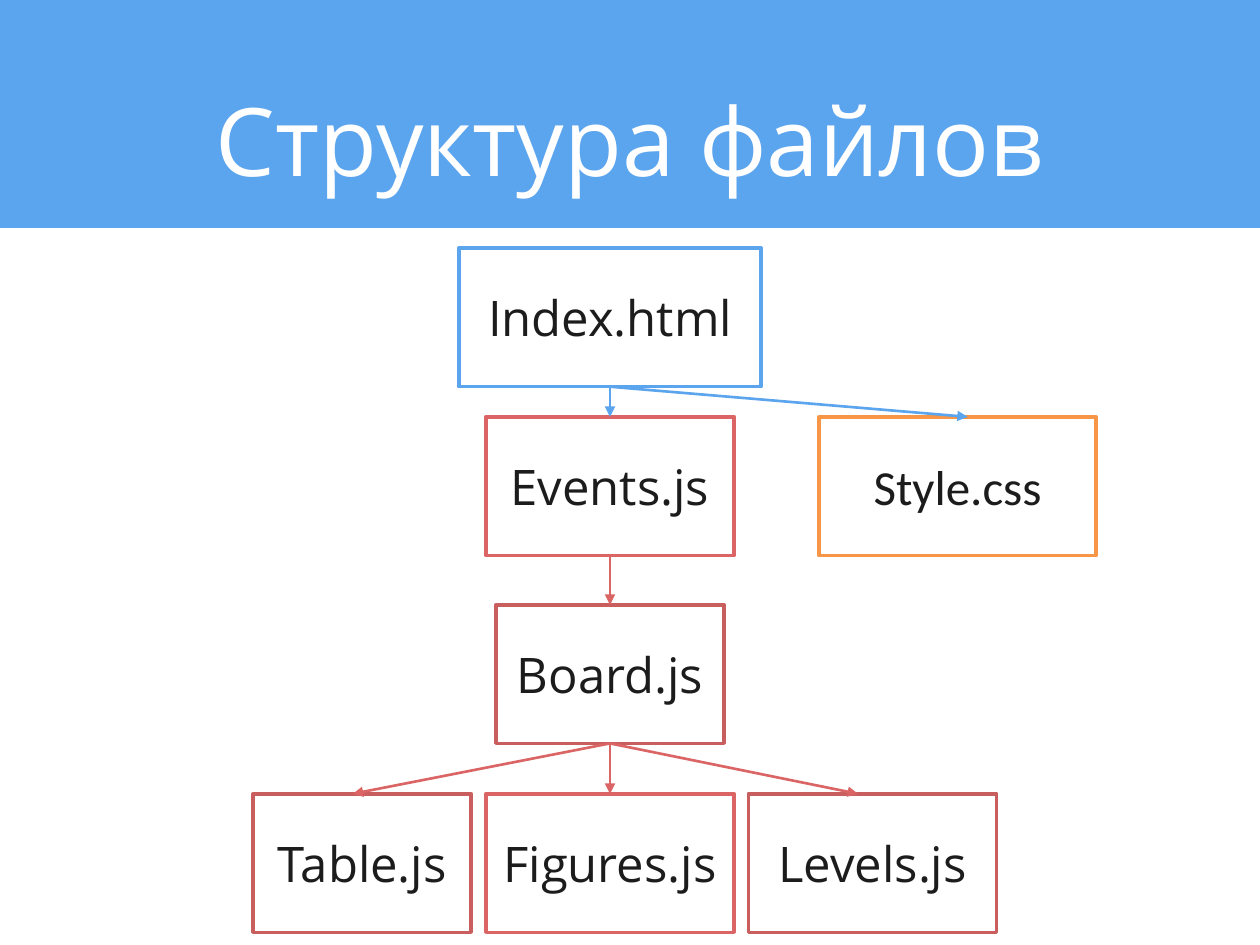
from dataclasses import dataclass
from typing import Optional

from lxml.etree import SubElement
from pptx import Presentation
from pptx.dml.color import RGBColor
from pptx.enum.shapes import MSO_CONNECTOR, MSO_SHAPE
from pptx.enum.text import MSO_ANCHOR, PP_ALIGN
from pptx.oxml.ns import qn
from pptx.util import Pt


@dataclass(frozen=True)
class Theme:
    white: str = "FFFFFF"
    ink: str = "1C1C1C"
    blue: str = "5BA4EE"
    red: str = "DB6565"
    dark_red: str = "C95E5E"
    orange: str = "F79646"
    font: str = "Open Sans"
    style_font: str = "Calibri"
    title_size: float = 54
    file_size: float = 28
    border: float = 2
    arrow: float = 1.5


@dataclass(frozen=True)
class FileBox:
    name: str
    center: float
    top: float
    width: float
    color: str
    font: str = Theme.font


@dataclass(frozen=True)
class Link:
    child: str
    parent: str
    color: str
    tip_x: Optional[float] = None  # set when the tip misses the middle of the side


THEME = Theme()
SLIDE_W, SLIDE_H = 720, 540
BANNER_H, TITLE_H = 130.3, 158.4
BOX_H = 79.2
AXIS = 348.6
INDEX_ROW, EVENTS_ROW, BOARD_ROW, MODULE_ROW = 141.8, 238.2, 345.6, 453.6
TOP_SIDE, BOTTOM_SIDE = 0, 2

FILES = [
    FileBox("Table.js", 207, MODULE_ROW, 124.6, THEME.dark_red),
    FileBox("Board.js", AXIS, BOARD_ROW, 130.4, THEME.dark_red),
    FileBox("Events.js", AXIS, EVENTS_ROW, 142, THEME.red),
    FileBox("Figures.js", AXIS, MODULE_ROW, 142, THEME.red),
    FileBox("Levels.js", 498.6, MODULE_ROW, 142, THEME.dark_red),
    FileBox("Style.css", 547.2, EVENTS_ROW, 158.4, THEME.orange, THEME.style_font),
    FileBox("Index.html", AXIS, INDEX_ROW, 172.8, THEME.blue),
]

LINKS = [
    Link("Board.js", "Events.js", THEME.red),
    Link("Figures.js", "Board.js", THEME.red),
    Link("Table.js", "Board.js", THEME.red, 201.6),
    Link("Levels.js", "Board.js", THEME.red, 490.3),
    Link("Events.js", "Index.html", THEME.blue),
    Link("Style.css", "Index.html", THEME.blue, 553),
]


def write(shape, text: str, font: str, size: float, color: str) -> None:
    frame = shape.text_frame
    frame_format = {"word_wrap": True, "vertical_anchor": MSO_ANCHOR.MIDDLE}
    for key, value in frame_format.items():
        setattr(frame, key, value)
    paragraph = frame.paragraphs[0]
    paragraph.alignment = PP_ALIGN.CENTER
    run = paragraph.add_run()
    run.text = text
    for key, value in {"name": font, "size": Pt(size)}.items():
        setattr(run.font, key, value)
    run.font.color.rgb = RGBColor.from_string(color)


def add_rect(slide, left: float, top: float, width: float, height: float,
             fill: str, border: Optional[str] = None):
    rect = slide.shapes.add_shape(
        MSO_SHAPE.RECTANGLE, Pt(left), Pt(top), Pt(width), Pt(height))
    rect.shadow.inherit = False
    rect.fill.solid()
    rect.fill.fore_color.rgb = RGBColor.from_string(fill)
    if border:
        rect.line.color.rgb = RGBColor.from_string(border)
        rect.line.width = Pt(THEME.border)
    else:
        rect.line.fill.background()
    return rect


def add_file(slide, file: FileBox):
    box = add_rect(slide, file.center - file.width / 2, file.top,
                   file.width, BOX_H, THEME.white, file.color)
    write(box, file.name, file.font, THEME.file_size, THEME.ink)
    return box


def add_link(slide, link: Link, boxes: dict) -> None:
    child, parent = boxes[link.child], boxes[link.parent]
    tip_x = Pt(link.tip_x or AXIS)
    arrow = slide.shapes.add_connector(
        MSO_CONNECTOR.STRAIGHT, tip_x, child.top,
        Pt(AXIS), parent.top + parent.height)
    if link.tip_x is None:
        arrow.begin_connect(child, TOP_SIDE)
    arrow.end_connect(parent, BOTTOM_SIDE)
    arrow.line.color.rgb = RGBColor.from_string(link.color)
    arrow.line.width = Pt(THEME.arrow)
    # Arrowhead at the child, no shadow
    properties = arrow.line._get_or_add_ln()
    SubElement(properties, qn("a:headEnd"), type="triangle")
    SubElement(arrow._element.spPr, qn("a:effectLst"))


def main() -> None:
    deck = Presentation()
    deck.slide_width, deck.slide_height = Pt(SLIDE_W), Pt(SLIDE_H)
    slide = deck.slides.add_slide(deck.slide_layouts[6])

    # File boxes
    boxes = {file.name: add_file(slide, file) for file in FILES}

    # Title banner
    add_rect(slide, 0, 0, SLIDE_W, BANNER_H, THEME.blue)
    title = slide.shapes.add_textbox(0, 0, Pt(SLIDE_W), Pt(TITLE_H))
    write(title, "Структура файлов", THEME.font, THEME.title_size, THEME.white)

    # Arrows between files
    for link in LINKS:
        add_link(slide, link, boxes)

    deck.save("out.pptx")


if __name__ == "__main__":
    main()
